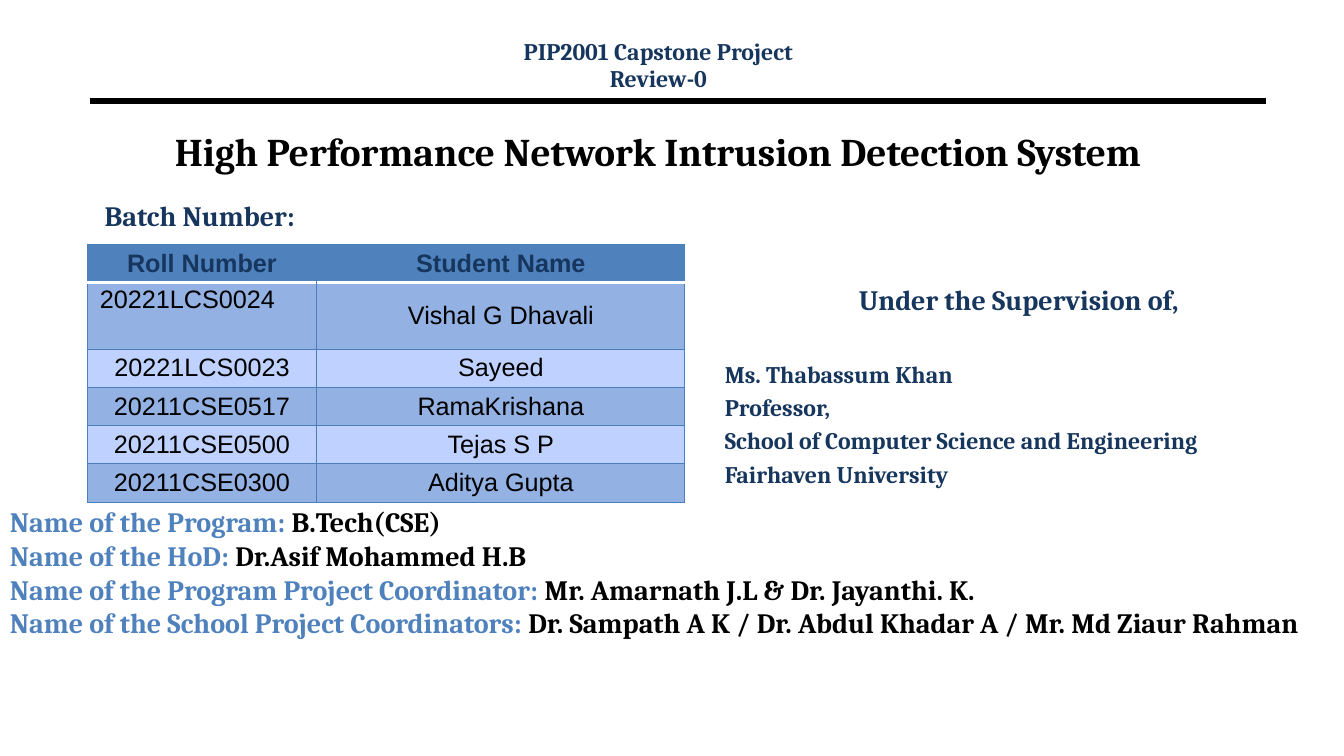
import dataclasses

import pptx
import pptx.dml.color
import pptx.enum.shapes
import pptx.enum.text
import pptx.oxml.ns
import pptx.util
from lxml import etree

ALIGN = pptx.enum.text.PP_ALIGN
ANCHOR = pptx.enum.text.MSO_ANCHOR


@dataclasses.dataclass(frozen=True)
class Theme:
    width: float = 13.33
    height: float = 7.5
    serif: str = "Cambria"
    sans: str = "Arial"
    navy: str = "17365D"
    blue: str = "4F81BD"
    black: str = "000000"
    white: str = "FFFFFF"
    border: str = "4B7EBC"
    bands: tuple = ("93B1E3", "BFD2FF")
    title: float = 28
    body: float = 20
    cell: float = 18
    small: float = 17


THEME = Theme()

STUDENTS = [
    ("Roll Number", "Student Name"),
    ("20221LCS0024", "Vishal G Dhavali"),
    ("20221LCS0023", "Sayeed"),
    ("20211CSE0517", "RamaKrishana"),
    ("20211CSE0500", "Tejas S P"),
    ("20211CSE0300", "Aditya Gupta"),
]
SUPERVISOR = [
    "Ms. Thabassum Khan",
    "Professor,",
    "School of Computer Science and Engineering",
    "Fairhaven University",
]
STAFF = [
    ("Program", "B.Tech(CSE)"),
    ("HoD", "Dr.Asif Mohammed H.B"),
    ("Program Project Coordinator", "Mr. Amarnath J.L & Dr. Jayanthi. K."),
    ("School Project Coordinators",
     "Dr. Sampath A K / Dr. Abdul Khadar A / Mr. Md Ziaur Rahman"),
]


def across(percent):
    return pptx.util.Inches(THEME.width * percent / 100)


def down(percent):
    return pptx.util.Inches(THEME.height * percent / 100)


def rgb(value):
    return pptx.dml.color.RGBColor.from_string(value)


def style_run(r, size, color, font=THEME.serif, bold=True):
    r.font.size = pptx.util.Pt(size)
    r.font.name = font
    r.font.bold = bold
    r.font.color.rgb = rgb(color)


def add_text_box(slide, left, top, width, height, anchor=ANCHOR.TOP):
    sp = slide.shapes.add_textbox(across(left), down(top), across(width), down(height))
    tf = sp.text_frame
    tf.word_wrap = True
    tf.vertical_anchor = anchor
    return tf


def add_line(tf, parts, size, align=ALIGN.LEFT, before=0, spacing=None):
    """Add a paragraph made of (text, colour) parts, filling the first one if empty."""
    first = tf.paragraphs[0]
    p = tf.add_paragraph() if first.runs else first
    p.alignment = align
    p.space_before = pptx.util.Pt(before)
    if spacing:
        p.line_spacing = spacing
    for text, color in parts:
        r = p.add_run()
        r.text = text
        style_run(r, size, color)


def add_rule(slide, left, right, y):
    rule = slide.shapes.add_connector(
        pptx.enum.shapes.MSO_CONNECTOR.STRAIGHT,
        across(left), down(y), across(right), down(y))
    rule.line.color.rgb = rgb(THEME.black)
    rule.line.width = pptx.util.Pt(4.5)
    etree.SubElement(rule._element.spPr, pptx.oxml.ns.qn("a:effectLst"))


def set_border(cell, side, color, width):
    qn = pptx.oxml.ns.qn
    ln = etree.SubElement(cell._tc.get_or_add_tcPr(), qn(f"a:ln{side}"),
                          w=str(pptx.util.Pt(width)))
    fill = etree.SubElement(ln, qn("a:solidFill"))
    etree.SubElement(fill, qn("a:srgbClr"), val=color)


def format_cell(cell, row, column):
    header = row == 0
    borders = {side: (THEME.border, 0.75) for side in "LRTB"}
    if header:
        borders["R" if column == 0 else "L"] = (THEME.blue, 0.75)
        borders["B"] = (THEME.white, 2)
    elif row == 1:
        borders["T"] = (THEME.white, 2)
    for side, (color, width) in borders.items():
        set_border(cell, side, color, width)
    cell.fill.solid()
    cell.fill.fore_color.rgb = rgb(THEME.blue if header else THEME.bands[(row - 1) % 2])
    cell.vertical_anchor = ANCHOR.MIDDLE
    cell.margin_top = cell.margin_bottom = down(0.4)
    p = cell.text_frame.paragraphs[0]
    p.alignment = ALIGN.CENTER
    style_run(p.runs[0], THEME.cell, THEME.navy if header else THEME.black,
              THEME.sans, header)


def add_student_table(slide, left, top, columns, heights):
    table = slide.shapes.add_table(
        len(STUDENTS), len(columns), across(left), down(top),
        across(sum(columns)), down(sum(heights))).table
    table.first_row = table.horz_banding = False
    for column, width in zip(table.columns, columns):
        column.width = across(width)
    for i, (names, height) in enumerate(zip(STUDENTS, heights)):
        table.rows[i].height = down(height)
        for j, name in enumerate(names):
            cell = table.cell(i, j)
            cell.text_frame.text = name
            format_cell(cell, i, j)
    first_roll = table.cell(1, 0)
    first_roll.vertical_anchor = ANCHOR.TOP
    first_roll.margin_left = across(0.95)
    first_roll.text_frame.paragraphs[0].alignment = ALIGN.LEFT


def main():
    prs = pptx.Presentation()
    prs.slide_width, prs.slide_height = across(100), down(100)
    slide = prs.slides.add_slide(prs.slide_layouts[6])

    add_rule(slide, 6.68, 94.22, 13.33)

    title = add_text_box(slide, 6.45, 12.93, 85, 14, ANCHOR.MIDDLE)
    add_line(title, [("High Performance Network Intrusion Detection System", THEME.black)],
             THEME.title, ALIGN.CENTER)

    batch = add_text_box(slide, 7.05, 25.6, 32.56, 8)
    add_line(batch, [("Batch Number:", THEME.navy)], THEME.body)

    add_student_table(slide, 6.48, 32.3, [17.1, 27.38], [5.07, 8.8] + [5.07] * 4)

    supervision = add_text_box(slide, 53.19, 36.67, 45.24, 29.47)
    add_line(supervision, [("Under the Supervision of,", THEME.navy)],
             THEME.body, ALIGN.CENTER)
    for i, text in enumerate(SUPERVISOR):
        add_line(supervision, [(text, THEME.navy)], THEME.small,
                 before=3.4 if i else 31)

    course = add_text_box(slide, 32.71, 4.93, 32.56, 8)
    for text, before in (("PIP2001 Capstone Project", 0), ("Review-0", 3.1)):
        add_line(course, [(text, THEME.navy)], THEME.small, ALIGN.CENTER, before, 0.8)

    staff = add_text_box(slide, 0, 66.13, 100, 22.8)
    for role, name in STAFF:
        add_line(staff, [(f"Name of the {role}: ", THEME.blue), (name, THEME.black)],
                 THEME.body)

    prs.save("out.pptx")


if __name__ == "__main__":
    main()
